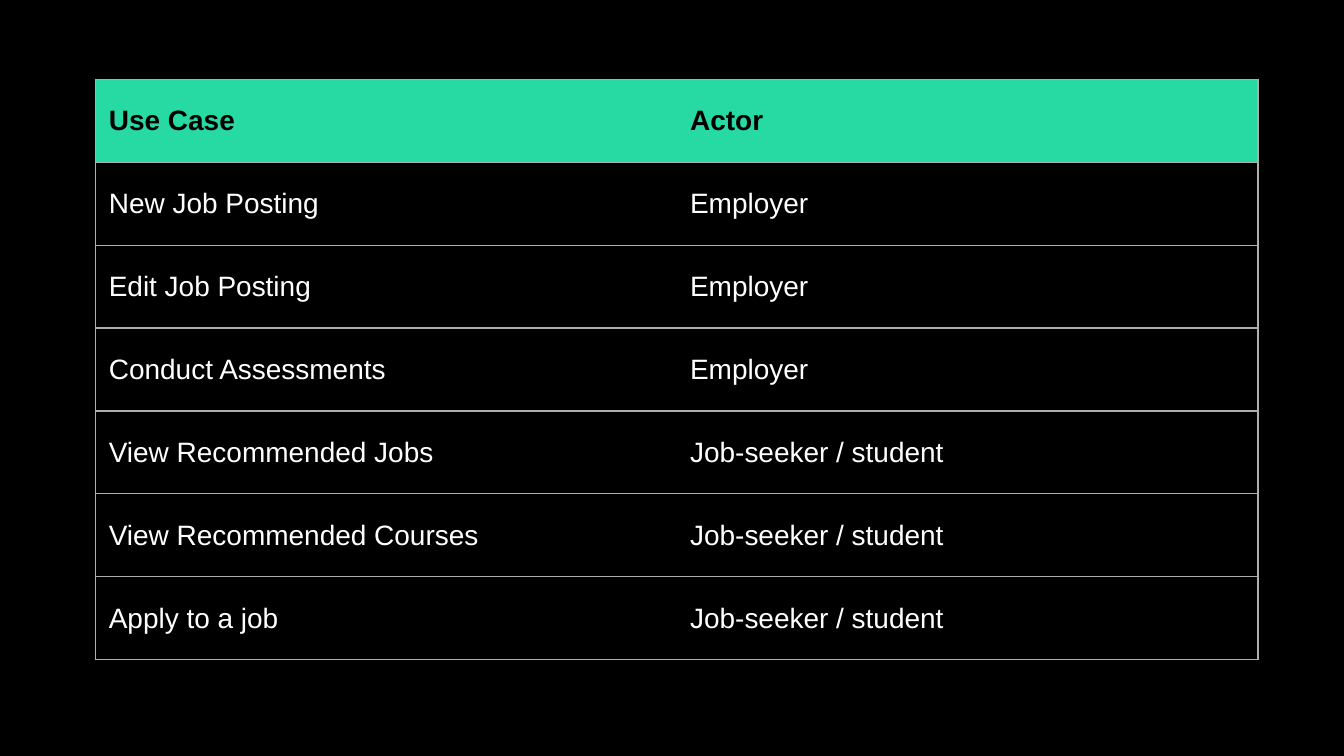
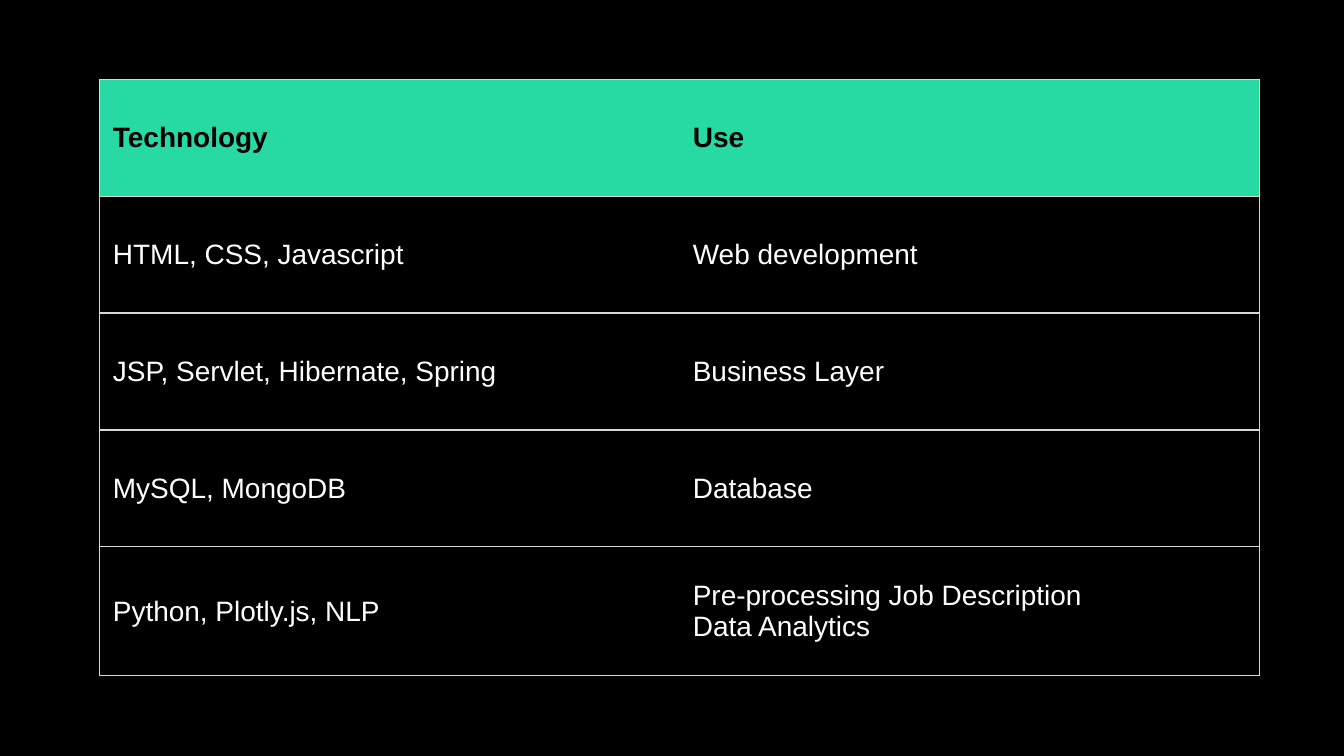
"""Build two dark slides, each with a two-column table under a green header row."""
import pptx
import pptx.dml.color
import pptx.enum.text
import pptx.oxml
import pptx.oxml.ns
import pptx.util

COLORS = {
    "background": "000000",
    "header": "27D9A2",
    "header_text": "000000",
    "body_text": "FFFFFF",
    "use_case_border": "AEAEAE",
    "technology_border": "D8D8D8",
}
FONT_NAME = "Arial"
FONT_SIZE = pptx.util.Pt(15)
BORDER_WIDTH = pptx.util.Pt(0.75)
TABLE_TOP = pptx.util.Inches(0.59)

TABLES = [
    {
        "left": 0.71,
        "width": 8.65,
        "row_heights": [4.32 / 7] * 7,
        "border": "use_case_border",
        "rows": [
            ("Use Case", "Actor"),
            ("New Job Posting", "Employer"),
            ("Edit Job Posting", "Employer"),
            ("Conduct Assessments", "Employer"),
            ("View Recommended Jobs", "Job-seeker / student"),
            ("View Recommended Courses", "Job-seeker / student"),
            ("Apply to a job", "Job-seeker / student"),
        ],
    },
    {
        "left": 0.74,
        "width": 8.63,
        "row_heights": [0.87] * 4 + [0.96],
        "border": "technology_border",
        "rows": [
            ("Technology", "Use"),
            ("HTML, CSS, Javascript", "Web development"),
            ("JSP, Servlet, Hibernate, Spring", "Business Layer"),
            ("MySQL, MongoDB", "Database"),
            ("Python, Plotly.js, NLP", "Pre-processing Job Description\nData Analytics"),
        ],
    },
]


def rgb(name):
    return pptx.dml.color.RGBColor.from_string(COLORS[name])


def add_border(cell, side, color):
    fill = f'<a:solidFill><a:srgbClr val="{color}"/></a:solidFill>' if color else "<a:noFill/>"
    namespace = pptx.oxml.ns.nsdecls("a")
    line = f'<a:ln{side} {namespace} w="{int(BORDER_WIDTH)}">{fill}</a:ln{side}>'
    cell._tc.get_or_add_tcPr().append(pptx.oxml.parse_xml(line))


presentation = pptx.Presentation()
presentation.slide_width = pptx.util.Inches(10)
presentation.slide_height = presentation.slide_width * 9 // 16

for content in TABLES:
    slide = presentation.slides.add_slide(presentation.slide_layouts[6])
    slide.background.fill.solid()
    slide.background.fill.fore_color.rgb = rgb("background")

    rows = content["rows"]
    column_width = pptx.util.Inches(content["width"] / 2)
    row_heights = [pptx.util.Inches(height) for height in content["row_heights"]]
    table = slide.shapes.add_table(
        len(rows), 2, pptx.util.Inches(content["left"]), TABLE_TOP,
        2 * column_width, sum(row_heights),
    ).table
    table.first_row = False
    table.horz_banding = False
    for column in table.columns:
        column.width = column_width

    border = COLORS[content["border"]]
    for row_index, texts in enumerate(rows):
        table.rows[row_index].height = row_heights[row_index]
        is_header = row_index == 0
        for column_index, text in enumerate(texts):
            cell = table.cell(row_index, column_index)
            add_border(cell, "L", border if column_index == 0 else None)
            add_border(cell, "R", border if column_index == 1 else None)
            add_border(cell, "T", border)
            add_border(cell, "B", border)
            if is_header:
                cell.fill.solid()
                cell.fill.fore_color.rgb = rgb("header")
            else:
                cell.fill.background()
            cell.vertical_anchor = pptx.enum.text.MSO_ANCHOR.MIDDLE
            cell.text_frame.text = text
            for paragraph in cell.text_frame.paragraphs:
                paragraph.alignment = pptx.enum.text.PP_ALIGN.JUSTIFY
                for run in paragraph.runs:
                    run.font.name = FONT_NAME
                    run.font.size = FONT_SIZE
                    run.font.bold = is_header
                    run.font.color.rgb = rgb("header_text" if is_header else "body_text")

presentation.save("out.pptx")
